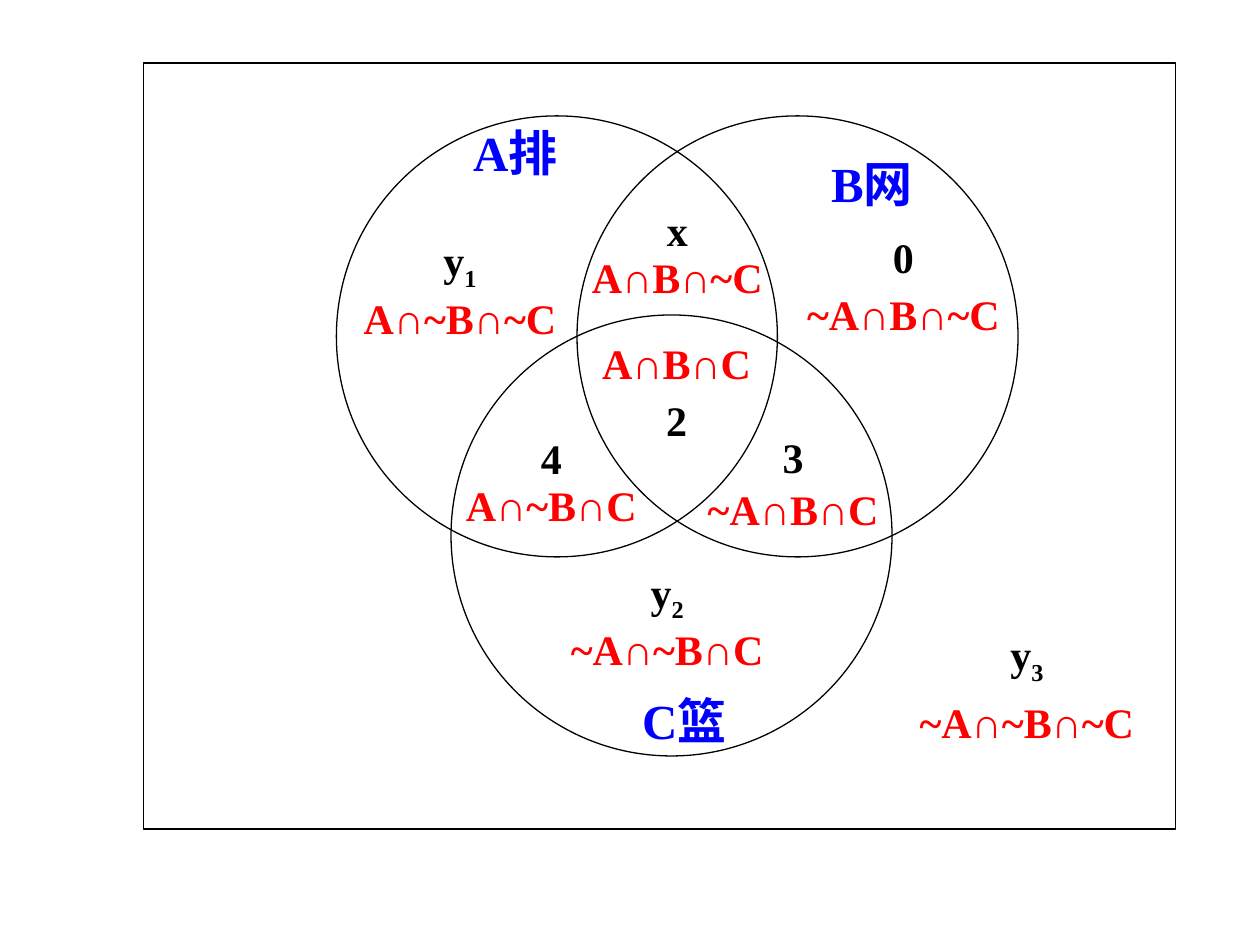
from dataclasses import dataclass
from pptx import Presentation
from pptx.dml.color import RGBColor
from pptx.enum.shapes import MSO_SHAPE
from pptx.enum.text import MSO_ANCHOR, MSO_AUTO_SIZE, PP_ALIGN
from pptx.util import Inches, Pt


@dataclass(frozen=True)
class Theme:
    face: str = "Times New Roman"
    ink: RGBColor = RGBColor(0, 0, 0)
    blue: RGBColor = RGBColor(0, 0, 255)
    red: RGBColor = RGBColor(255, 0, 0)
    title: Pt = Pt(28)
    body: Pt = Pt(24)
    gap: Pt = Pt(15)
    line: Pt = Pt(0.75)


class Venn:
    def __init__(self, slide, theme):
        self.slide = slide
        self.theme = theme

    def outline(self, kind, x, y, w, h):
        shape = self.slide.shapes.add_shape(
            kind, Inches(x), Inches(y), Inches(w), Inches(h))
        shape.shadow.inherit = False
        shape.fill.background()
        shape.line.color.rgb = self.theme.ink
        shape.line.width = self.theme.line

    def frame(self, x, y, w, h, wrap):
        box = self.slide.shapes.add_textbox(
            Inches(x), Inches(y), Inches(w), Inches(h))
        frame = box.text_frame
        frame.word_wrap = wrap
        frame.auto_size = MSO_AUTO_SIZE.SHAPE_TO_FIT_TEXT
        frame.vertical_anchor = MSO_ANCHOR.MIDDLE
        return frame

    def style(self, para, size, color):
        para.alignment = PP_ALIGN.CENTER
        font = para.font
        font.name, font.size, font.bold = self.theme.face, size, True
        font.color.rgb = color

    def label(self, text, x, y):
        para = self.frame(x, y, 0.96, 0.57, False).paragraphs[0]
        para.text = text
        self.style(para, self.theme.title, self.theme.blue)

    def region(self, rows, x, y, w, h, pitch):
        """Stack a count and its set; y1, y2, y3 get a lowered digit."""
        frame = self.frame(x, y, w, h, True)
        for i, text in enumerate(rows):
            para = frame.add_paragraph() if i else frame.paragraphs[0]
            color = self.theme.red if "∩" in text else self.theme.ink
            self.style(para, self.theme.body, color)
            para.line_spacing = pitch
            if i:
                para.space_before = self.theme.gap
            if text.startswith("y"):
                para.add_run().text = text[0]
                sub = para.add_run()
                sub.text = text[1:]
                sub.font._element.set("baseline", "-25000")
            else:
                para.add_run().text = text


def main():
    deck = Presentation()
    deck.slide_width, deck.slide_height = Inches(10), Inches(7.5)
    venn = Venn(deck.slides.add_slide(deck.slide_layouts[6]), Theme())

    # Universe and the three sets
    venn.outline(MSO_SHAPE.RECTANGLE, 1.14, 0.5, 8.19, 6.08)
    for x, y in ((2.67, 0.92), (4.58, 0.92), (3.58, 2.5)):
        venn.outline(MSO_SHAPE.OVAL, x, y, 3.5, 3.5)

    # Set names
    for text, x, y in (("A排", 3.61, 0.92), ("B网", 6.44, 1.17),
                       ("C篮", 4.95, 5.43)):
        venn.label(text, x, y)

    # Regions: rows, left, top, width, height, line spacing
    for item in (
        (("A∩B∩C", "2"), 4.58, 2.77, 1.58, 0.79, 0.6),
        (("4", "A∩~B∩C"), 3.5, 3.59, 1.75, 0.63, 0.4),
        (("3", "~A∩B∩C"), 5.42, 3.55, 1.75, 0.71, 0.5),
        (("x", "A∩B∩~C"), 4.5, 1.78, 1.75, 0.63, 0.4),
        (("y1", "A∩~B∩~C"), 2.64, 1.93, 2.02, 0.82, 0.6),
        (("0", "~A∩B∩~C"), 6.18, 1.93, 1.98, 0.79, 0.6),
        (("y2", "~A∩~B∩C"), 4.33, 4.56, 1.93, 0.82, 0.6),
        (("y3", "~A∩~B∩~C"), 6.97, 4.98, 2.36, 1, 0.8),
    ):
        venn.region(*item)

    deck.save("out.pptx")


if __name__ == "__main__":
    main()
